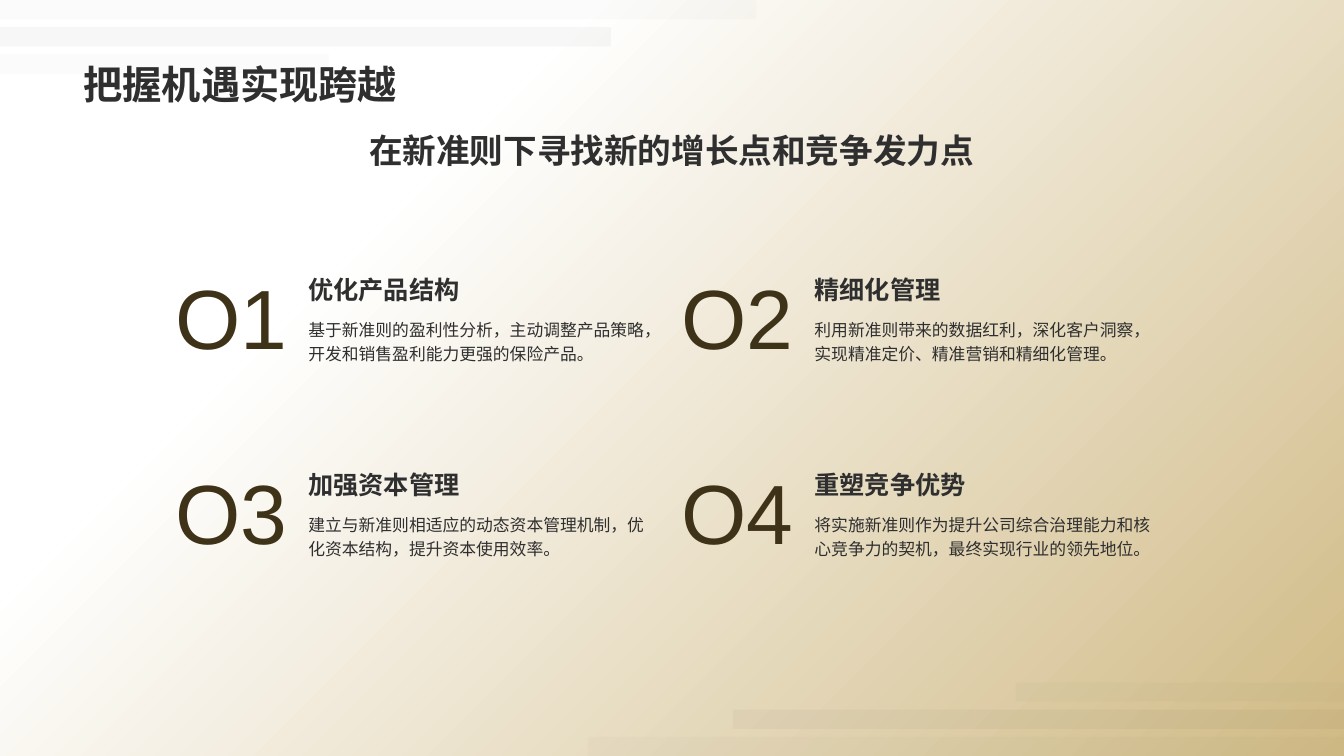
from lxml import etree
from pptx import Presentation
from pptx.dml.color import RGBColor
from pptx.enum import shapes, text
from pptx.oxml import ns

PX = 9144  # EMU per px, 100 px to the inch
SLIDE_W, SLIDE_H = 1333, 750
FONT = "Arial"
INK = RGBColor(0x2F, 0x2F, 0x2F)
BROWN = RGBColor(0x3E, 0x33, 0x18)
GOLD = RGBColor(0xD0, 0xBA, 0x85)
WHITE = RGBColor(0xFF, 0xFF, 0xFF)
STRIPE = RGBColor(0x39, 0x39, 0x39)

deck = Presentation()
deck.slide_width, deck.slide_height = SLIDE_W * PX, SLIDE_H * PX
slide = deck.slides.add_slide(deck.slide_layouts[5])


def write(box, words, size, color=INK, bold=False, align=text.PP_ALIGN.LEFT,
          anchor=text.MSO_ANCHOR.TOP, spacing=None):
    frame = box.text_frame
    frame.text = words
    frame.word_wrap = True
    frame.auto_size = text.MSO_AUTO_SIZE.NONE
    frame.vertical_anchor = anchor
    paragraph = frame.paragraphs[0]
    paragraph.alignment = align
    paragraph.line_spacing = spacing
    font = paragraph.runs[0].font
    font.name, font.size, font.bold = FONT, size * 12700, bold
    font.color.rgb = color


def add_words(left, top, width, height, words, size, **style):
    box = slide.shapes.add_textbox(left * PX, top * PX, width * PX, height * PX)
    write(box, words, size, **style)


# Background: gold in the lower right corner, fading to white
backdrop = slide.background.fill
backdrop.gradient()
backdrop.gradient_angle = 135
for stop, color, position in zip(backdrop.gradient_stops, (GOLD, WHITE), (0, 0.72)):
    stop.color.rgb = color
    stop.position = position

# Faint stripes in two opposite corners
STRIPE_H, STRIPE_STEP = 19, 27
for row, (width, opacity) in enumerate([(750, 2), (606, 4), (326, 2)]):
    top = row * STRIPE_STEP
    for left, y in [(0, top), (SLIDE_W - width, SLIDE_H - STRIPE_H - top)]:
        stripe = slide.shapes.add_shape(
            shapes.MSO_SHAPE.RECTANGLE, left * PX, y * PX, width * PX, STRIPE_H * PX)
        stripe.shadow.inherit = False
        stripe.line.fill.background()
        stripe.fill.solid()
        stripe.fill.fore_color.rgb = STRIPE
        tint = stripe.fill._xPr.find(".//" + ns.qn("a:srgbClr"))
        etree.SubElement(tint, ns.qn("a:alpha"), val=str(opacity * 1000))

# Title and subtitle
title = slide.shapes.title
title.left, title.top, title.width, title.height = 73 * PX, 14 * PX, 1188 * PX, 98 * PX
write(title, "把握机遇实现跨越", 28, bold=True, anchor=text.MSO_ANCHOR.BOTTOM)
add_words(72, 124, 1188, 50, "在新准则下寻找新的增长点和竞争发力点", 24,
          bold=True, align=text.PP_ALIGN.CENTER)

# Four numbered strategies in a two by two grid
strategies = [
    ("优化产品结构", "基于新准则的盈利性分析，主动调整产品策略，开发和销售盈利能力更强的保险产品。"),
    ("精细化管理", "利用新准则带来的数据红利，深化客户洞察，实现精准定价、精准营销和精细化管理。"),
    ("加强资本管理", "建立与新准则相适应的动态资本管理机制，优化资本结构，提升资本使用效率。"),
    ("重塑竞争优势", "将实施新准则作为提升公司综合治理能力和核心竞争力的契机，最终实现行业的领先地位。"),
]
for index, (heading, detail) in enumerate(strategies):
    row, column = divmod(index, 2)
    left, top = 164 + column * 502, 254 + row * 194
    add_words(left, top + 4, 132, 111, f"O{index + 1}", 60, color=BROWN)
    add_words(left + 132, top, 360, 53, heading, 18, bold=True,
              anchor=text.MSO_ANCHOR.BOTTOM)
    add_words(left + 132, top + 54, 360, 124, detail, 12, spacing=1.2)

deck.save("out.pptx")
